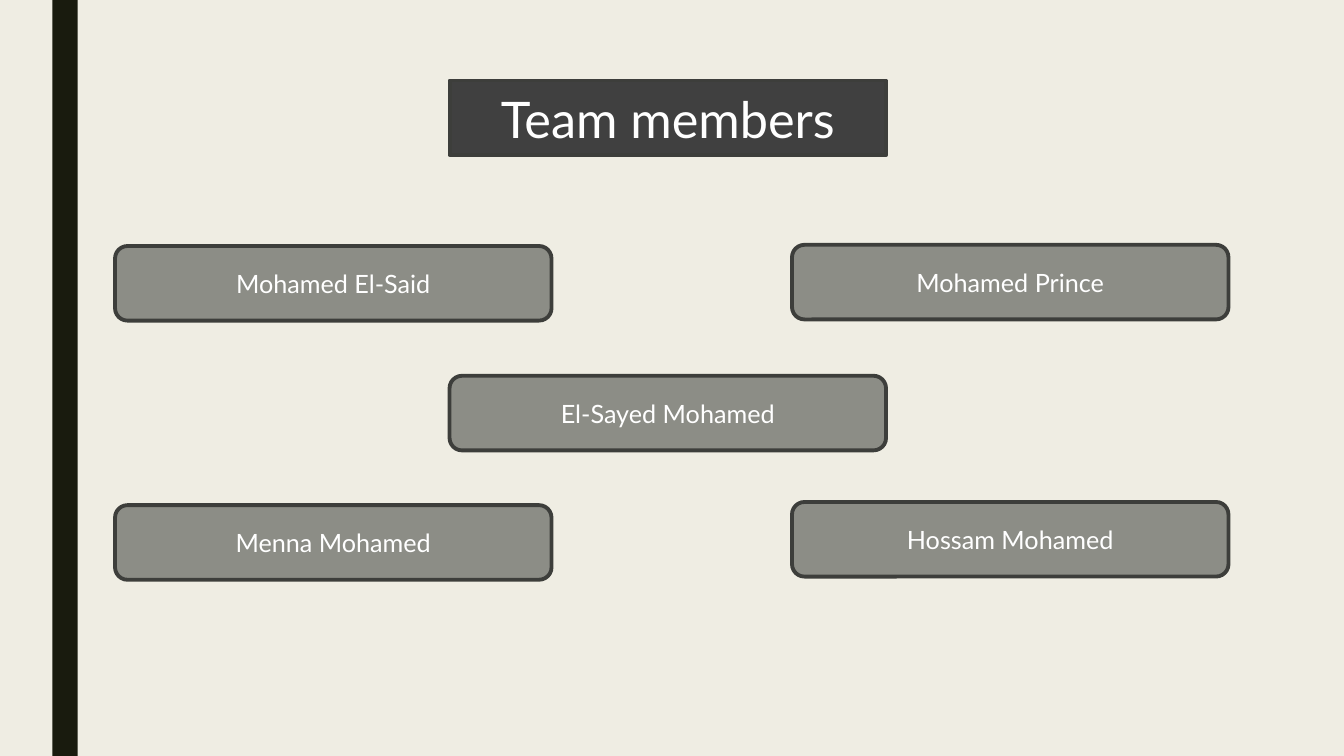
from lxml.etree import SubElement
from pptx import Presentation
from pptx.dml.color import RGBColor
from pptx.enum.shapes import MSO_SHAPE as Shape
from pptx.enum.text import MSO_ANCHOR as Anchor, MSO_AUTO_SIZE as AutoSize, PP_ALIGN as Align
from pptx.oxml.ns import qn
from pptx.util import Cm, Pt


def paint(color_format, color):
    color_format.rgb = RGBColor.from_string(color)


def style_box(shape, text, fill, size):
    shape.fill.solid()
    paint(shape.fill.fore_color, fill)
    paint(shape.line.color, "3D3E3B")
    shape.line.width = Pt(2.75)
    text_frame = shape.text_frame
    text_frame.text = text
    text_frame.word_wrap = True
    text_frame.auto_size = AutoSize.NONE
    text_frame.vertical_anchor = Anchor.MIDDLE
    paragraph = text_frame.paragraphs[0]
    paragraph.alignment = Align.CENTER
    font = paragraph.runs[0].font
    font.name = "Lato"
    font.size = Pt(size)
    paint(font.color, "FFFFFF")


presentation = Presentation()
presentation.slide_width = Cm(33.87)
presentation.slide_height = Cm(19.05)
slide = presentation.slides.add_slide(presentation.slide_layouts[5])
slide.background.fill.solid()
paint(slide.background.fill.fore_color, "EFEDE3")

side_bar = slide.shapes.add_shape(Shape.RECTANGLE, Cm(1.32), 0, Cm(0.64), presentation.slide_height)
side_bar.shadow.inherit = False
side_bar.fill.solid()
paint(side_bar.fill.fore_color, "191B0E")
side_bar.line.fill.background()

box_width, box_height = Cm(11), Cm(1.88)
left_column, middle_column, right_column = Cm(2.9), Cm(11.33), Cm(19.96)

title = slide.shapes.title
title.left, title.top = middle_column, Cm(2.03)
title.width, title.height = box_width, box_height
geometry = SubElement(title.element.spPr, qn("a:prstGeom"), prst="roundRect")
SubElement(geometry, qn("a:avLst"))
style_box(title, "Team members", "404040", 36)

members = [
    ("Mohamed El-Said", left_column, 6.2),
    ("Mohamed Prince", right_column, 6.17),
    ("El-Sayed Mohamed", middle_column, 9.47),
    ("Menna Mohamed", left_column, 12.73),
    ("Hossam Mohamed", right_column, 12.65),
]
for name, left, top in members:
    member_box = slide.shapes.add_shape(Shape.ROUNDED_RECTANGLE, left, Cm(top), box_width, box_height)
    member_box.shadow.inherit = False
    style_box(member_box, name, "8C8D86", 18)

presentation.save("out.pptx")
